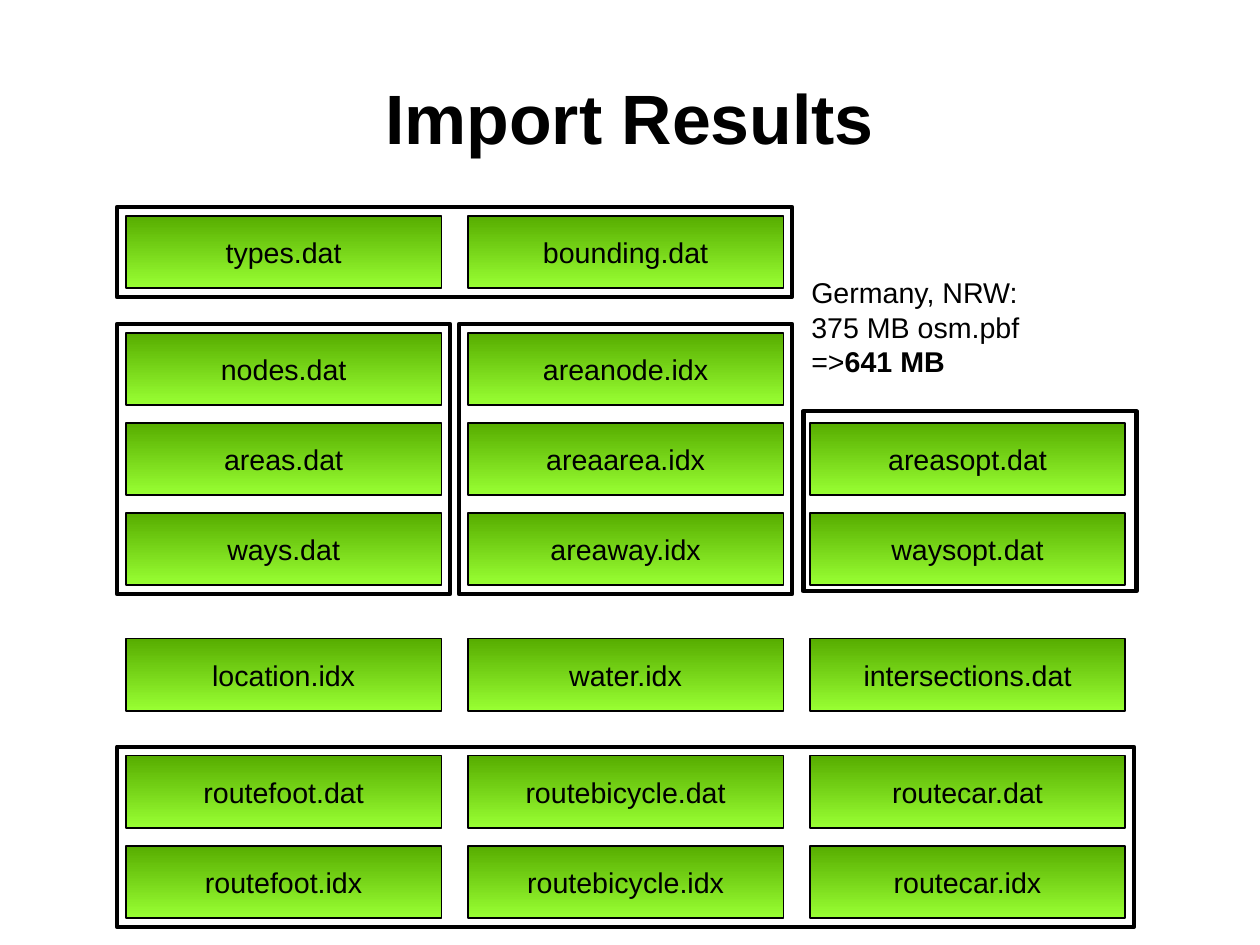
"""Build the "Import Results" slide: a grid of result files, grouped by frames."""
from pptx import Presentation
from pptx.dml.color import RGBColor
from pptx.enum.shapes import MSO_SHAPE
from pptx.enum.text import MSO_ANCHOR, MSO_AUTO_SIZE, PP_ALIGN
from pptx.util import Pt

RECT = MSO_SHAPE.RECTANGLE
MIDDLE = MSO_ANCHOR.MIDDLE
FIT_SHAPE = MSO_AUTO_SIZE.SHAPE_TO_FIT_TEXT
CENTER = PP_ALIGN.CENTER

BLACK = "000000"
LIGHT_GREEN = "99FF33"
DARK_GREEN = "57AD00"

LEFT, COL_STEP = 79.4, 215.4
BOX_W, BOX_H = 198.5, 45.4

ROWS = [
    (136.1, ["types.dat", "bounding.dat", None]),
    (209.8, ["nodes.dat", "areanode.idx", None]),
    (266.5, ["areas.dat", "areaarea.idx", "areasopt.dat"]),
    (323.2, ["ways.dat", "areaway.idx", "waysopt.dat"]),
    (402.5, ["location.idx", "water.idx", "intersections.dat"]),
    (476.2, ["routefoot.dat", "routebicycle.dat", "routecar.dat"]),
    (532.9, ["routefoot.idx", "routebicycle.idx", "routecar.idx"]),
]
FRAMES = [
    (73.7, 130.4, 425.2, 56.7),
    (73.7, 204.1, 209.8, 170.1),
    (289.1, 204.1, 209.8, 170.1),
    (73.7, 470.5, 640.6, 113.4),
    (506, 259, 209.8, 113.4),
]


def rgb(color):
    return RGBColor.from_string(color)


def set_font(p, size, bold=False):
    p.font.name = "Arial"
    p.font.size = Pt(size)
    p.font.bold = bold
    p.font.color.rgb = rgb(BLACK)


prs = Presentation()
prs.slide_width, prs.slide_height = Pt(793.7), Pt(595.3)
s = prs.slides.add_slide(prs.slide_layouts[5])

title = s.shapes.title
title.left, title.top, title.width, title.height = Pt(39.7), Pt(23.7), Pt(714.3), Pt(99.4)
tf = title.text_frame
tf.text = "Import Results"
tf.margin_left = tf.margin_right = tf.margin_top = tf.margin_bottom = 0
tf.vertical_anchor = MIDDLE
p = tf.paragraphs[0]
p.alignment = CENTER
set_font(p, 44, bold=True)

for top, names in ROWS:
    for col, name in enumerate(names):
        if name is None:
            continue
        sp = s.shapes.add_shape(RECT, Pt(LEFT + col * COL_STEP), Pt(top), Pt(BOX_W), Pt(BOX_H))
        sp.shadow.inherit = False
        sp.fill.gradient()
        sp.fill.gradient_angle = 90
        for stop, color in zip(sp.fill.gradient_stops, (LIGHT_GREEN, DARK_GREEN)):
            stop.color.rgb = rgb(color)
        sp.line.color.rgb = rgb(BLACK)
        sp.line.width = Pt(0)
        tf = sp.text_frame
        tf.text = name
        tf.word_wrap = False
        tf.vertical_anchor = MIDDLE
        p = tf.paragraphs[0]
        p.alignment = CENTER
        set_font(p, 18)

for left, top, width, height in FRAMES:
    sp = s.shapes.add_shape(RECT, Pt(left), Pt(top), Pt(width), Pt(height))
    sp.shadow.inherit = False
    sp.fill.background()
    sp.line.color.rgb = rgb(BLACK)
    sp.line.width = Pt(2.83)

note = s.shapes.add_textbox(Pt(504), Pt(169.9), Pt(146.2), Pt(74.9))
tf = note.text_frame
tf.word_wrap = False
tf.auto_size = FIT_SHAPE
tf.text = "Germany, NRW:\v375 MB osm.pbf"
p = tf.add_paragraph()
p.add_run().text = "=>"
r = p.add_run()
r.text = "641 MB"
r.font.bold = True
for p in tf.paragraphs:
    set_font(p, 18)

prs.save("out.pptx")
